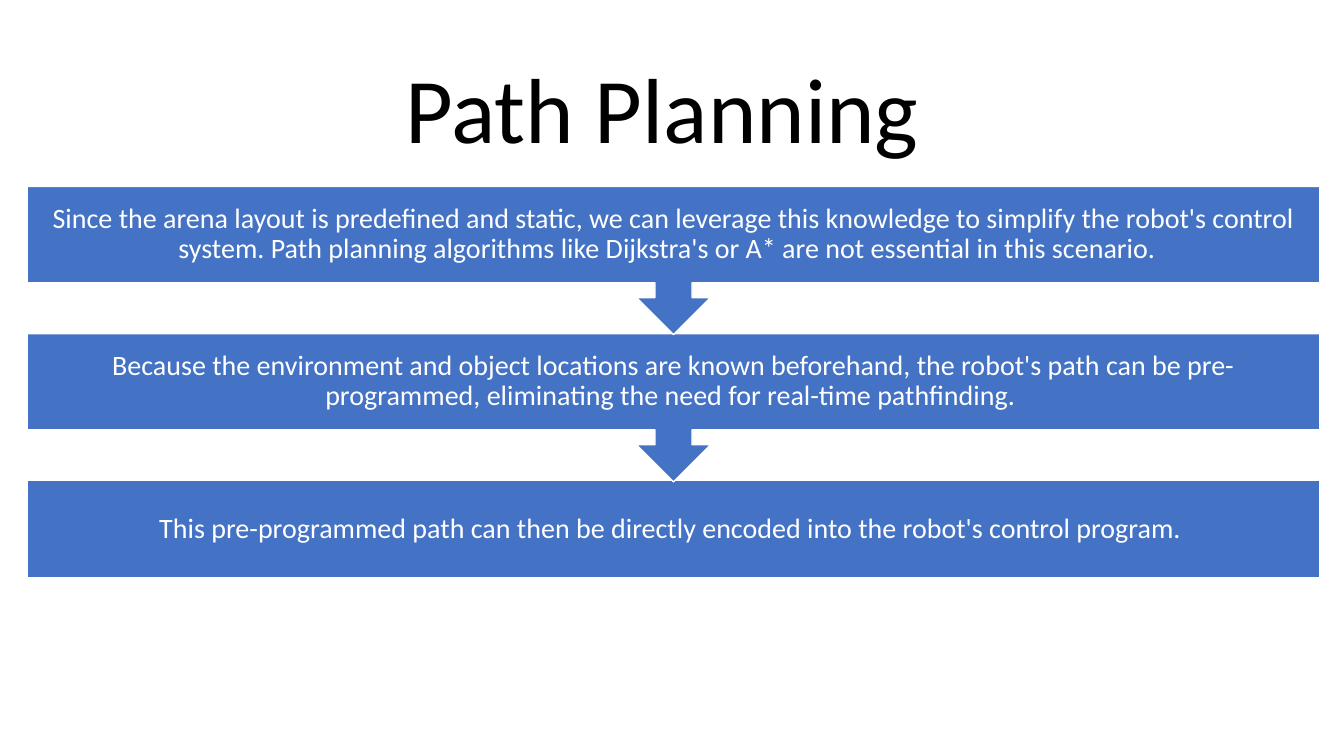
from pptx import Presentation
from pptx.dml.color import RGBColor
from pptx.enum.shapes import MSO_SHAPE as Shape
from pptx.enum.text import MSO_ANCHOR as Anchor, PP_ALIGN as Align
from pptx.util import Inches, Pt

BLACK = RGBColor(0x00, 0x00, 0x00)
WHITE = RGBColor(0xFF, 0xFF, 0xFF)
BLUE = RGBColor(0x44, 0x72, 0xC4)

STEPS = [
    "Since the arena layout is predefined and static, we can leverage this knowledge "
    "to simplify the robot's control system. Path planning algorithms like Dijkstra's "
    "or A* are not essential in this scenario.  ",
    "Because the environment and object locations are known beforehand, the robot's path "
    "can be pre-programmed, eliminating the need for real-time pathfinding. ",
    "This pre-programmed path can then be directly encoded into the robot's control program. ",
]
STEP_LEFT, STEP_TOP, STEP_WIDTH = 0.27, 1.85, 12.82
STEP_PITCH = 1.46
BOX_HEIGHT, CALLOUT_HEIGHT = 0.96, 1.47


def write_text(shape, text, size, color, margin=None, space_after=0):
    frame = shape.text_frame
    frame.word_wrap = True
    frame.vertical_anchor = Anchor.MIDDLE
    if margin is not None:
        frame.margin_left = frame.margin_right = Inches(margin)
        frame.margin_top = frame.margin_bottom = Inches(margin)
    paragraph = frame.paragraphs[0]
    paragraph.alignment = Align.CENTER
    paragraph.line_spacing = 0.9
    paragraph.space_before = Pt(0)
    paragraph.space_after = Pt(space_after)
    run = paragraph.add_run()
    run.text = text
    run.font.name = "Calibri"
    run.font.size = Pt(size)
    run.font.color.rgb = color


class FlowSlide:
    def __init__(self, presentation):
        self.slide = presentation.slides.add_slide(presentation.slide_layouts[5])

    def title(self, text):
        title = self.slide.shapes.title
        title.left, title.top = Inches(0.92), Inches(0.4)
        title.width, title.height = Inches(11.5), Inches(1.45)
        write_text(title, text, size=66, color=BLACK)

    def step(self, text, top, kind, height):
        shape = self.slide.shapes.add_shape(
            kind, Inches(STEP_LEFT), Inches(top), Inches(STEP_WIDTH), Inches(height))
        shape.shadow.inherit = False
        shape.fill.solid()
        shape.fill.fore_color.rgb = BLUE
        shape.line.color.rgb = WHITE
        shape.line.width = Pt(1)
        write_text(shape, text, size=20, color=WHITE, margin=0.16, space_after=7)

    def flow(self, steps):
        last = len(steps) - 1
        for index in range(last, -1, -1):
            top = STEP_TOP + index * STEP_PITCH
            if index == last:
                self.step(steps[index], top, Shape.RECTANGLE, BOX_HEIGHT)
            else:
                self.step(steps[index], top, Shape.DOWN_ARROW_CALLOUT, CALLOUT_HEIGHT)


def main():
    presentation = Presentation()
    presentation.slide_width = Inches(13.33)
    presentation.slide_height = Inches(7.5)
    flow_slide = FlowSlide(presentation)
    flow_slide.title("Path Planning ")
    flow_slide.flow(STEPS)
    presentation.save("out.pptx")


if __name__ == "__main__":
    main()
